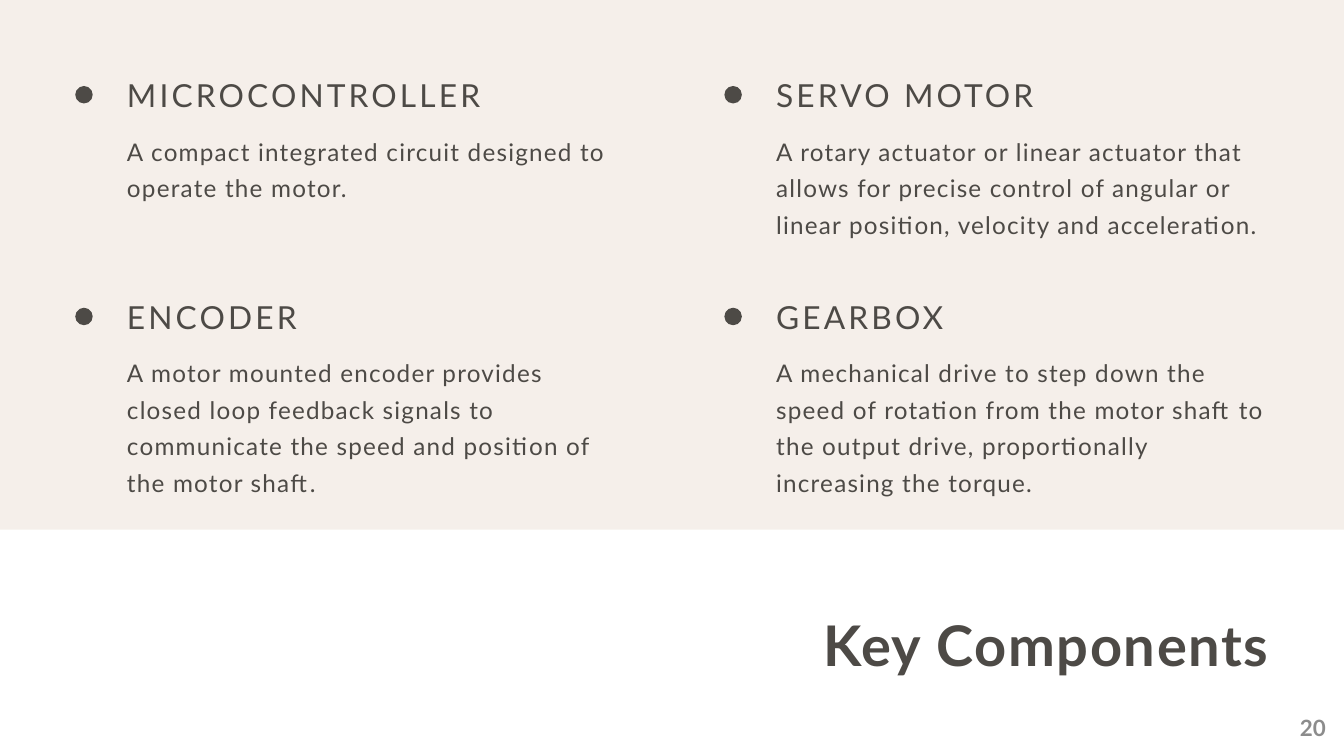
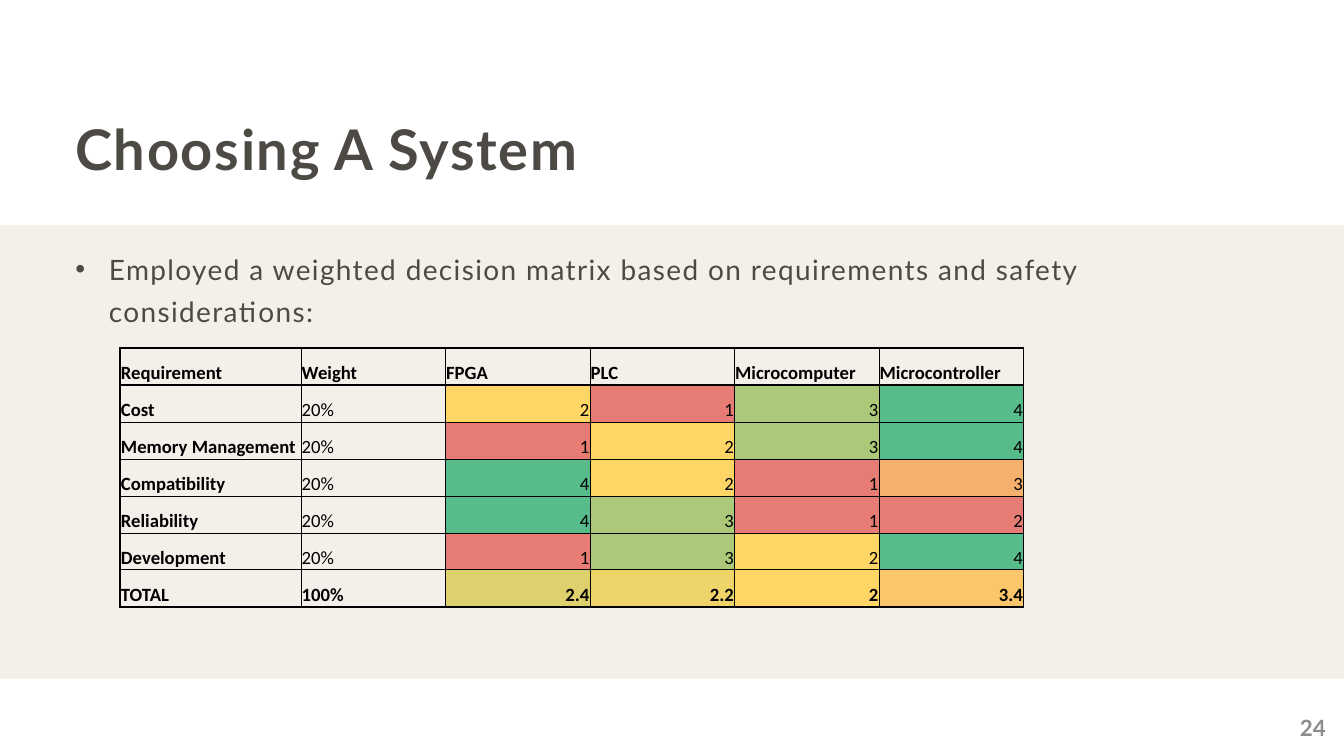
import pptx
import pptx.dml.color
import pptx.enum.shapes
import pptx.enum.text
import pptx.oxml
import pptx.oxml.ns
import pptx.util
from lxml import etree

Inches = pptx.util.Inches
Pt = pptx.util.Pt
RGBColor = pptx.dml.color.RGBColor
Align = pptx.enum.text.PP_ALIGN
Anchor = pptx.enum.text.MSO_ANCHOR
Shape = pptx.enum.shapes.MSO_SHAPE
qn = pptx.oxml.ns.qn

INK = RGBColor(0x4D, 0x4A, 0x46)
SAND = RGBColor(0xE4, 0xD4, 0xC5)
PAGE_GREY = RGBColor(0x8C, 0x8C, 0x8C)
BLACK = RGBColor(0x00, 0x00, 0x00)

# Score colours, from worst to best
RED = RGBColor(0xE6, 0x7C, 0x73)
ORANGE = RGBColor(0xF4, 0xB0, 0x6C)
AMBER = RGBColor(0xFA, 0xC6, 0x69)
YELLOW = RGBColor(0xFF, 0xD6, 0x66)
STRAW = RGBColor(0xEF, 0xD4, 0x69)
LIME = RGBColor(0xDE, 0xD1, 0x6D)
LIGHT_GREEN = RGBColor(0xAB, 0xC9, 0x78)
GREEN = RGBColor(0x57, 0xBB, 0x8A)

THIN, MEDIUM, THICK = 0.5, 1.5, 2.25

COMPONENTS = [
    ("MICROCONTROLLER", "A compact integrated circuit designed to operate the motor."),
    ("SERVO MOTOR", "A rotary actuator or linear actuator that allows for precise control "
                    "of angular or linear position, velocity and acceleration."),
    ("ENCODER", "A motor mounted encoder provides closed loop feedback signals to "
                "communicate the speed and position of the motor shaft."),
    ("GEARBOX", "A mechanical drive to step down the speed of rotation from the motor "
                "shaft to the output drive, proportionally increasing the torque."),
]

HEADINGS = ["Requirement", "Weight", "FPGA", "PLC", "Microcomputer", "Microcontroller"]
SCORES = [
    ("Cost", "20%", "2 1 3 4", (YELLOW, RED, LIGHT_GREEN, GREEN)),
    ("Memory Management", "20%", "1 2 3 4", (RED, YELLOW, LIGHT_GREEN, GREEN)),
    ("Compatibility", "20%", "4 2 1 3", (GREEN, YELLOW, RED, ORANGE)),
    ("Reliability", "20%", "4 3 1 2", (GREEN, LIGHT_GREEN, RED, RED)),
    ("Development", "20%", "1 3 2 4", (RED, LIGHT_GREEN, YELLOW, GREEN)),
    ("TOTAL", "100%", "2.4 2.2 2 3.4", (LIME, STRAW, YELLOW, AMBER)),
]


class Deck:
    """Holds the shared style and the current slide."""

    def __init__(self):
        self.presentation = pptx.Presentation()
        self.presentation.slide_width = Inches(20)
        self.presentation.slide_height = Inches(11.25)
        self.slide = None

    def new_slide(self):
        self.slide = self.presentation.slides.add_slide(self.presentation.slide_layouts[6])

    def add_run(self, paragraph, text, size, color=INK, bold=False, font="Lato", spacing=0):
        run = paragraph.add_run()
        run.text = text
        run.font.name = font
        run.font.size = Pt(size)
        run.font.bold = bold
        run.font.color.rgb = color
        if spacing:
            run._r.get_or_add_rPr().set("spc", str(round(spacing * 100)))

    def text(self, left, top, width, height, text, size, leading, spacing,
             bold=False, align=Align.LEFT, bullet_indent=0):
        box = self.slide.shapes.add_textbox(
            Inches(left), Inches(top), Inches(width), Inches(height))
        frame = box.text_frame
        frame.word_wrap = True
        frame.auto_size = pptx.enum.text.MSO_AUTO_SIZE.SHAPE_TO_FIT_TEXT
        frame.margin_left = frame.margin_right = frame.margin_top = frame.margin_bottom = 0
        paragraph = frame.paragraphs[0]
        paragraph.alignment = align
        paragraph.line_spacing = Pt(leading)
        if bullet_indent:
            properties = paragraph._p.get_or_add_pPr()
            properties.set("marL", str(Inches(bullet_indent)))
            properties.set("indent", str(-Inches(bullet_indent)))
            etree.SubElement(properties, qn("a:buFont"), typeface="Arial")
            etree.SubElement(properties, qn("a:buChar"), char="•")
        self.add_run(paragraph, text, size, bold=bold, spacing=spacing)

    def title(self, left, top, width, height, text, leading, spacing, align=Align.LEFT):
        self.text(left, top, width, height, text, 60, leading, spacing, True, align)

    def shape(self, kind, left, top, width, height, color):
        shape = self.slide.shapes.add_shape(
            kind, Inches(left), Inches(top), Inches(width), Inches(height))
        shape.shadow.inherit = False
        shape.fill.solid()
        shape.fill.fore_color.rgb = color
        shape.line.fill.background()
        return shape

    def band(self, left, top, width, height):
        band = self.shape(Shape.RECTANGLE, left, top, width, height, SAND)
        color = band._element.spPr.find(qn("a:solidFill")).find(qn("a:srgbClr"))
        etree.SubElement(color, qn("a:alpha"), val="35000")

    def component(self, left, top, name, description):
        self.shape(Shape.OVAL, left, top + 0.15, 0.26, 0.26, INK)
        self.text(left + 0.77, top, 7.33, 0.58, name, 34, 40.8, 3.4)
        self.text(left + 0.77, top + 0.8, 7.33, 1.64, description, 26, 39, 1.3)

    def page_number(self, number):
        box = self.slide.shapes.add_textbox(
            Inches(17.5), Inches(10.62), Inches(2.33), Inches(0.4))
        box.text_frame.word_wrap = True
        box.text_frame.vertical_anchor = Anchor.MIDDLE
        paragraph = box.text_frame.paragraphs[0]
        paragraph.alignment = Align.RIGHT
        self.add_run(paragraph, str(number), 24, PAGE_GREY, True)

    def cell(self, cell, text, borders, bold, align=Align.LEFT, fill=None):
        cell.margin_left = cell.margin_right = cell.margin_top = Inches(0.01)
        cell.margin_bottom = 0
        cell.vertical_anchor = Anchor.BOTTOM
        properties = cell._tc.get_or_add_tcPr()
        for side, weight in borders.items():
            line = etree.SubElement(properties, qn(f"a:ln{side}"), w=str(Pt(weight)))
            solid = etree.SubElement(line, qn("a:solidFill"))
            etree.SubElement(solid, qn("a:srgbClr"), val=str(BLACK))
        if fill is None:
            cell.fill.background()
        else:
            cell.fill.solid()
            cell.fill.fore_color.rgb = fill
        paragraph = cell.text_frame.paragraphs[0]
        paragraph.alignment = align
        self.add_run(paragraph, text, 20, BLACK, bold, "Calibri")

    def decision_matrix(self, left, top, first_width, other_width, row_height):
        row_count, column_count = len(SCORES) + 1, len(HEADINGS)
        width = first_width + other_width * (column_count - 1)
        table = self.slide.shapes.add_table(
            row_count, column_count, Inches(left), Inches(top),
            Inches(width), Inches(row_height * row_count)).table
        table.first_row = table.horz_banding = False
        for index, column in enumerate(table.columns):
            column.width = Inches(other_width if index else first_width)
        for row in table.rows:
            row.height = Inches(row_height)

        # Line weights by grid position: frame, inner rules, dividers
        across = [THICK, MEDIUM] + [THIN] * (row_count - 3) + [MEDIUM, THICK]
        down = [THICK, THIN, MEDIUM] + [THIN] * (column_count - 3) + [THICK]

        rows = [(HEADINGS, [None] * column_count)]
        for name, weight, scores, colors in SCORES:
            rows.append(([name, weight, *scores.split()], [None, None, *colors]))
        for r, (texts, fills) in enumerate(rows):
            for c, (text, fill) in enumerate(zip(texts, fills)):
                borders = {"L": down[c], "R": down[c + 1], "T": across[r], "B": across[r + 1]}
                bold = c == 0 or r in (0, row_count - 1)
                align = Align.RIGHT if fill is not None else Align.LEFT
                self.cell(table.cell(r, c), text, borders, bold, align, fill)


def main():
    deck = Deck()

    # Key components: two by two grid above the title
    deck.new_slide()
    deck.title(4.57, 9.06, 14.31, 1.04, "Key Components", 74.1, 1.7, Align.RIGHT)
    deck.band(-0.38, -0.4, 20.74, 8.28)
    for index, (name, description) in enumerate(COMPONENTS):
        row, column = divmod(index, 2)
        deck.component(1.12 + 9.66 * column, 1.13 + 3.3 * row, name, description)
    deck.page_number(20)

    # Choosing a system: weighted decision matrix
    deck.new_slide()
    deck.title(1.12, 1.7, 14.2, 1.01, "Choosing A System", 72, 1.8)
    deck.band(-0.51, 3.35, 21.01, 6.75)
    deck.text(1.12, 3.63, 16.88, 1.26,
              "Employed a weighted decision matrix based on requirements and safety "
              "considerations:", 30, 45, 1.5, bullet_indent=0.5)
    deck.decision_matrix(1.79, 5.18, 2.69, 2.15, 0.55)
    deck.page_number(24)

    deck.presentation.save("out.pptx")


if __name__ == "__main__":
    main()
